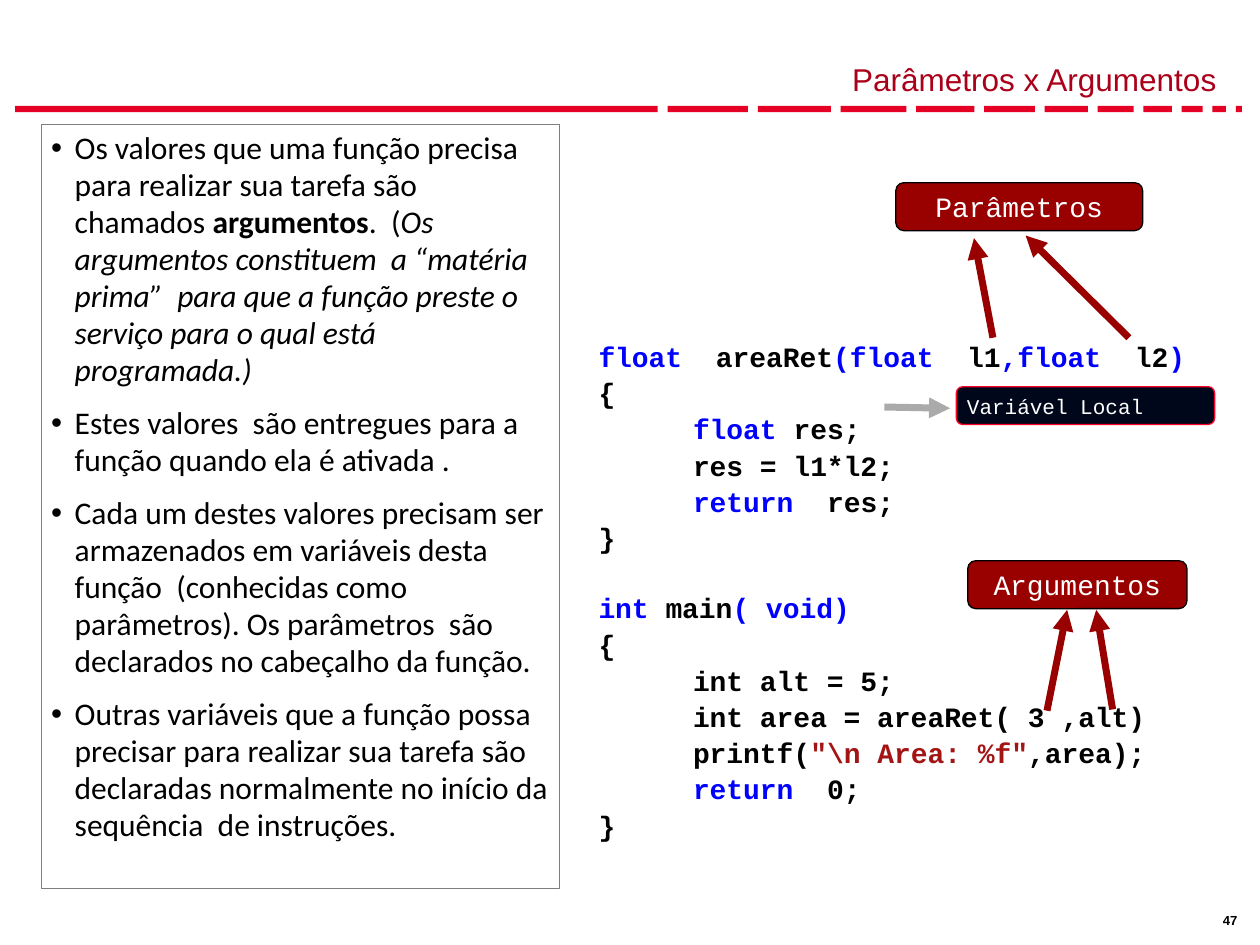
from dataclasses import dataclass

from lxml import etree
from pptx import Presentation
from pptx import util as u
from pptx.dml.color import RGBColor
from pptx.enum import shapes, text
from pptx.oxml.ns import qn

Pt = u.Pt


@dataclass(frozen=True)
class Theme:
    bar: str = "E40123"
    title: str = "AA001A"
    ink: str = "000000"
    paper: str = "FFFFFF"
    frame: str = "7F7F7F"
    label: str = "990000"
    local_fill: str = "00071A"
    local_line: str = "FC0128"
    local_arrow: str = "AAAAAB"
    keyword: str = "0000FF"
    literal: str = "A31515"
    heading_font: str = "Arial"
    body_font: str = "Calibri"
    code_font: str = "Courier New"
    body_size: float = 18
    code_size: float = 16
    note_size: float = 12
    number_size: float = 7.5


THEME = Theme()

BULLETS = [
    [("Os valores que uma função precisa  para realizar sua tarefa são chamados ", {}),
     ("argumentos", {"bold": True}),
     (".  (", {}),
     ("Os argumentos constituem  a “matéria prima”  para que a função preste o "
      "serviço para o qual está programada.)", {"italic": True})],
    [("Estes valores  são entregues para a função quando ela é ativada .", {})],
    [("Cada um destes valores precisam ser armazenados em variáveis desta função  "
      "(conhecidas como parâmetros). Os parâmetros  são declarados no cabeçalho da função.", {})],
    [("Outras variáveis que a função possa precisar para realizar sua tarefa são declaradas "
      "normalmente no início da sequência  de instruções.", {})],
]

INK, KEY, LITERAL = THEME.ink, THEME.keyword, THEME.literal
FUNCTION_CODE = [
    [("float  ", KEY), ("areaRet", INK), ("(float  ", KEY), ("l1", INK),
     (",float  ", KEY), ("l2", INK), (")", KEY)],
    [("{", INK)],
    [("\tfloat ", KEY), ("res;", INK)],
    [("\tres = l1*l2;", INK)],
    [("\treturn ", KEY), (" res;", INK)],
    [("}", INK)],
]
MAIN_CODE = [
    [("int ", KEY), ("main", INK), ("( void)", KEY)],
    [("{", INK)],
    [("\tint alt = 5;", INK)],
    [("\tint area = areaRet( 3 ,alt)", INK)],
    [("\tprintf(", INK), ('"\\n Area: %f"', LITERAL), (",area);", INK)],
    [("\treturn ", KEY), (" 0;", INK)],
    [("}", INK)],
]


def apply(target, values):
    for name, value in values.items():
        setattr(target, name, value)


def format_font(font, name, size, color, **values):
    apply(font, {"name": name, "size": Pt(size), **values})
    font.color.rgb = RGBColor.from_string(color)


def format_frame(frame, anchor=text.MSO_ANCHOR.TOP, side=5.4, edge=2.7):
    apply(frame, {"word_wrap": True, "vertical_anchor": anchor,
                  "auto_size": text.MSO_AUTO_SIZE.NONE,
                  "margin_left": Pt(side), "margin_right": Pt(side),
                  "margin_top": Pt(edge), "margin_bottom": Pt(edge)})


def add_box(slide, kind, bounds, fill=None, line=None):
    shape = slide.shapes.add_shape(kind, *map(Pt, bounds))
    shape.shadow.inherit = False
    if fill:
        shape.fill.solid()
        shape.fill.fore_color.rgb = RGBColor.from_string(fill)
    else:
        shape.fill.background()
    if line:
        shape.line.color.rgb = RGBColor.from_string(line)
        shape.line.width = Pt(0.75)
    else:
        shape.line.fill.background()
    return shape


def add_title(slide, words):
    title = slide.shapes.title
    apply(title, {"left": Pt(22.3), "top": Pt(5.8), "width": Pt(678.2), "height": Pt(52.6)})
    format_frame(title.text_frame, text.MSO_ANCHOR.BOTTOM)
    paragraph = title.text_frame.paragraphs[0]
    paragraph.text = words
    paragraph.alignment = text.PP_ALIGN.RIGHT
    format_font(paragraph.runs[0].font, THEME.heading_font, THEME.body_size, THEME.title)


def add_dashed_rule(slide):
    """One long bar followed by dashes that shrink by a fixed step."""
    left, gap = 8.64, 5.6
    for width in [367.2] + [46 - 4.25 * step for step in range(11)]:
        add_box(slide, shapes.MSO_SHAPE.RECTANGLE, (left, 60.5, width, 3.6), THEME.bar)
        left += width + gap


def add_bullets(slide, items):
    shape = add_box(slide, shapes.MSO_SHAPE.RECTANGLE, (23.8, 71.3, 296, 436.5), line=THEME.frame)
    frame = shape.text_frame
    format_frame(frame)
    for index, runs in enumerate(items):
        paragraph = frame.paragraphs[0] if index == 0 else frame.add_paragraph()
        properties = paragraph._p.get_or_add_pPr()
        apply(paragraph, {"alignment": text.PP_ALIGN.LEFT, "line_spacing": 0.98,
                          "space_before": Pt(9 if index else 0)})
        properties.set("marL", str(Pt(13.5)))
        properties.set("indent", str(Pt(-13.5)))
        etree.SubElement(properties, qn("a:buFont"), typeface="Arial")
        etree.SubElement(properties, qn("a:buChar"), char="•")
        for words, style in runs:
            run = paragraph.add_run()
            run.text = words
            format_font(run.font, THEME.body_font, THEME.body_size, THEME.ink, **style)


def add_code(slide, blocks):
    box = slide.shapes.add_textbox(Pt(337), Pt(191.3), Pt(350), Pt(300))
    frame = box.text_frame
    format_frame(frame, side=5)
    paragraph = None
    for block in blocks:
        for index, runs in enumerate(block):
            before = 1.5 if index else 21
            if paragraph is None:
                paragraph, before = frame.paragraphs[0], 0
            else:
                paragraph = frame.add_paragraph()
            apply(paragraph, {"line_spacing": Pt(19.2), "space_before": Pt(before)})
            tabs = etree.SubElement(paragraph._p.get_or_add_pPr(), qn("a:tabLst"))
            etree.SubElement(tabs, qn("a:tab"), pos=str(Pt(54)), algn="l")
            for words, color in runs:
                run = paragraph.add_run()
                run.text = words
                format_font(run.font, THEME.code_font, THEME.code_size, color, bold=True)


def add_label(slide, words, bounds, fill=THEME.label, line=THEME.ink,
              size=THEME.code_size, alignment=text.PP_ALIGN.CENTER):
    shape = add_box(slide, shapes.MSO_SHAPE.ROUNDED_RECTANGLE, bounds, fill, line)
    format_frame(shape.text_frame, side=5)
    paragraph = shape.text_frame.paragraphs[0]
    paragraph.text = words
    paragraph.alignment = alignment
    format_font(paragraph.runs[0].font, THEME.code_font, size, THEME.paper)


def add_arrow(slide, points, color=THEME.label):
    arrow = slide.shapes.add_connector(shapes.MSO_CONNECTOR.STRAIGHT, *map(Pt, points))
    arrow.line.color.rgb = RGBColor.from_string(color)
    arrow.line.width = Pt(4)
    etree.SubElement(arrow.line._get_or_add_ln(), qn("a:tailEnd"), type="triangle")
    etree.SubElement(arrow._element.spPr, qn("a:effectLst"))


def add_slide_number(slide, number):
    box = slide.shapes.add_textbox(Pt(693.4), Pt(518.4), Pt(23.8), Pt(14.4))
    format_frame(box.text_frame)
    paragraph = box.text_frame.paragraphs[0]
    paragraph.text = number
    format_font(paragraph.runs[0].font, THEME.heading_font, THEME.number_size, THEME.ink, bold=True)


def main():
    presentation = Presentation()
    apply(presentation, {"slide_width": Pt(720), "slide_height": Pt(540)})
    slide = presentation.slides.add_slide(presentation.slide_layouts[5])
    add_dashed_rule(slide)
    add_slide_number(slide, "47")
    add_title(slide, "Parâmetros x Argumentos")
    add_bullets(slide, BULLETS)
    add_code(slide, [FUNCTION_CODE, MAIN_CODE])
    add_label(slide, "Parâmetros", (511.9, 104.4, 141.1, 27.4))
    add_label(slide, "Argumentos", (553, 320.4, 125.3, 27.4))
    add_label(slide, "Variável Local", (546.5, 221, 147.6, 21.6), THEME.local_fill,
              THEME.local_line, THEME.note_size, text.PP_ALIGN.LEFT)
    for points in [(567.4, 193, 556.6, 136.1), (645.1, 193, 586.1, 134.6),
                   (598.3, 406.1, 609.8, 348.5), (635.8, 405.4, 626.4, 348.5)]:
        add_arrow(slide, points)
    add_arrow(slide, (505.4, 232.6, 542.9, 233.3), THEME.local_arrow)
    presentation.save("out.pptx")


if __name__ == "__main__":
    main()
